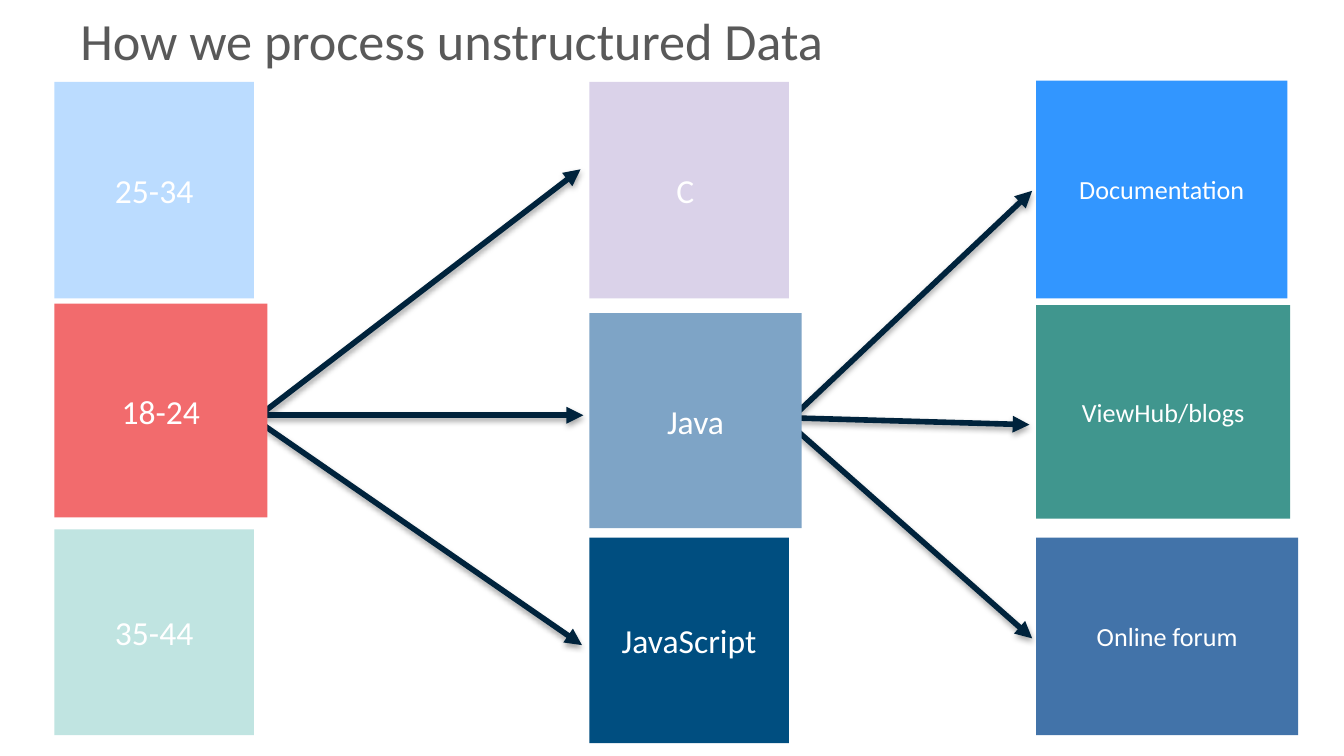
from lxml import etree
from pptx import Presentation
from pptx.dml.color import RGBColor
from pptx.enum.shapes import MSO_CONNECTOR, MSO_SHAPE
from pptx.enum.text import MSO_ANCHOR, PP_ALIGN
from pptx.oxml import parse_xml
from pptx.oxml.ns import nsdecls, qn
from pptx.util import Inches, Pt

RECTANGLE = MSO_SHAPE.RECTANGLE
STRAIGHT = MSO_CONNECTOR.STRAIGHT
MIDDLE = MSO_ANCHOR.MIDDLE
CENTER = PP_ALIGN.CENTER

WHITE = RGBColor(0xFF, 0xFF, 0xFF)
GRAY = RGBColor(0x59, 0x59, 0x59)
NAVY = RGBColor(0x00, 0x23, 0x3C)
PALE_BLUE = RGBColor(0xBB, 0xDC, 0xFF)
CORAL = RGBColor(0xF2, 0x6B, 0x6D)
MINT = RGBColor(0xC0, 0xE4, 0xE1)
LILAC = RGBColor(0xDA, 0xD2, 0xE9)
STEEL = RGBColor(0x7E, 0xA4, 0xC6)
DEEP_BLUE = RGBColor(0x00, 0x4E, 0x80)
BRIGHT_BLUE = RGBColor(0x32, 0x96, 0xFF)
TEAL = RGBColor(0x40, 0x96, 0x8E)
DENIM = RGBColor(0x42, 0x73, 0xA9)

FONT = "Calibri"
SLIDE_WIDTH = Inches(10)
SLIDE_HEIGHT = SLIDE_WIDTH * 9 // 16
GRID_COLUMNS = 100
CELL = SLIDE_WIDTH / GRID_COLUMNS

SHADOW = (
    f'<a:effectLst {nsdecls("a")}>'
    '<a:outerShdw blurRad="40000" dist="23000" dir="5400000" rotWithShape="0">'
    '<a:srgbClr val="000000"><a:alpha val="35000"/></a:srgbClr>'
    "</a:outerShdw></a:effectLst>"
)

AGES = [
    ("25-34", PALE_BLUE, 0.1, 14.85, 16.1),
    ("18-24", CORAL, 16.6, 15.85, 15.9),
    ("35-44", MINT, 33.4, 14.85, 15.3),
]
LANGUAGES = [
    ("C ", LILAC, 0.1, 14.85, 16.1),
    ("Java", STEEL, 17.3, 15.8, 16),
    ("JavaScript", DEEP_BLUE, 34, 14.85, 15.3),
]
RESOURCES = [
    ("Documentation", BRIGHT_BLUE, 0, 18.7, 16.2),
    ("ViewHub/blogs", TEAL, 16.7, 18.9, 15.9),
    ("Online forum", DENIM, 34, 19.5, 14.7),
]

AGE_TO_LANGUAGE = [
    (0.8, 18, 24.3, 0),
    (0.8, 19.1, 24.4, 35.4),
    (0, 18.3, 24.5, 18.3),
]
LANGUAGE_TO_RESOURCE = [
    (0, 17.4, 18, 33.3),
    (0.3, 16.9, 17.8, 17.4),
    (0.1, 16.9, 18, 0),
]


def grid(*cells):
    return [round(cell * CELL) for cell in cells]


def write(frame, text, size, color):
    frame.word_wrap = True
    frame.vertical_anchor = MIDDLE
    paragraph = frame.paragraphs[0]
    paragraph.text = text
    paragraph.font.name = FONT
    paragraph.font.size = Pt(size)
    paragraph.font.color.rgb = color
    return paragraph


def add_heading(slide, text, left, top, width, height):
    heading = slide.shapes.add_textbox(*grid(left, top, width, height))
    write(heading.text_frame, text, 28, GRAY)


def add_stack(slide, blocks, left, top, size):
    for label, fill, row, columns, rows in blocks:
        block = slide.shapes.add_shape(
            RECTANGLE, *grid(left, top + row, columns, rows)
        )
        block.shadow.inherit = False
        block.fill.solid()
        block.fill.fore_color.rgb = fill
        block.line.fill.background()
        write(block.text_frame, label, size, WHITE).alignment = CENTER


def add_fan(slide, rays, left, top):
    for start_column, start_row, end_column, end_row in rays:
        start = grid(left + start_column, top + start_row)
        end = grid(left + end_column, top + end_row)
        arrow = slide.shapes.add_connector(STRAIGHT, *start, *end)
        arrow.line.color.rgb = NAVY
        arrow.line.width = Pt(3)
        properties = arrow._element.spPr
        etree.SubElement(properties.get_or_add_ln(), qn("a:tailEnd"), type="triangle")
        properties.append(parse_xml(SHADOW))


def main():
    deck = Presentation()
    deck.slide_width = SLIDE_WIDTH
    deck.slide_height = SLIDE_HEIGHT
    slide = deck.slides.add_slide(deck.slide_layouts[6])

    add_heading(slide, "How we process unstructured Data", 5, 0, 90, 5.9)
    add_fan(slide, AGE_TO_LANGUAGE, 18.9, 12.6)
    add_fan(slide, LANGUAGE_TO_RESOURCE, 58.8, 14.2)
    add_stack(slide, AGES, 4.05, 6, 18)
    add_stack(slide, LANGUAGES, 43.85, 6, 18)
    add_stack(slide, RESOURCES, 77.1, 6, 14)

    deck.save("out.pptx")


if __name__ == "__main__":
    main()
